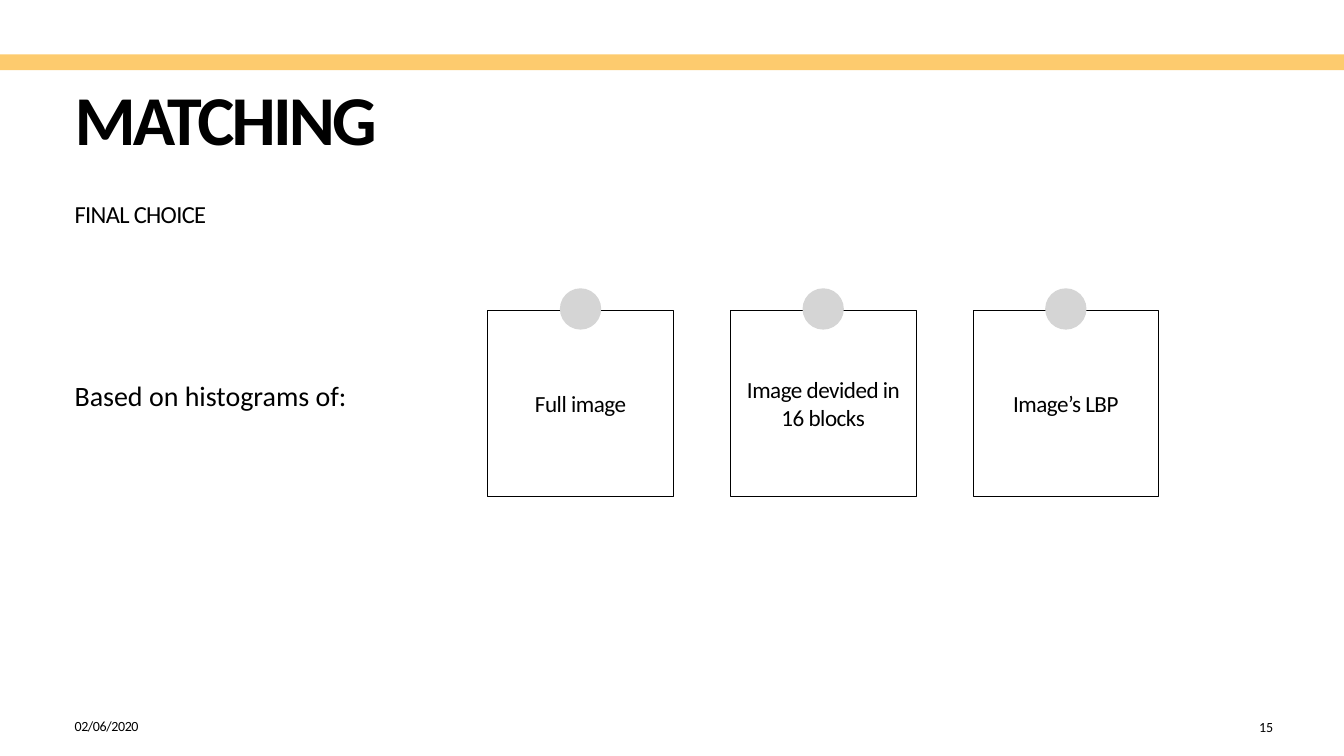
"""Build the slide on the final choice of histogram matching."""
from pptx import Presentation
from pptx.dml.color import RGBColor
from pptx.enum.shapes import MSO_SHAPE
from pptx.enum.text import MSO_ANCHOR, PP_ALIGN
from pptx.util import Inches, Pt

COLORS = {"band": "FDCB6E", "ink": "000000", "dot": "D5D5D5"}
WIDTH, HEIGHT = 26.67, 15
MARGIN = 1.42
CONTENT = 23.92
CARD_LEFT, CARD_TOP, CARD_SIZE, CARD_STEP = 9.68, 6.16, 3.68, 4.815
DOT_SIZE, DOT_TOP = 0.82, 5.72


def add_shape(kind, left, top, width, height, fill=None):
    shape = page.shapes.add_shape(kind, Inches(left), Inches(top), Inches(width), Inches(height))
    shape.shadow.inherit = False
    if fill:
        shape.fill.solid()
        shape.fill.fore_color.rgb = RGBColor.from_string(COLORS[fill])
        shape.line.fill.background()
    else:
        shape.fill.background()
        shape.line.color.rgb = RGBColor.from_string(COLORS["ink"])
        shape.line.width = Pt(1)
    return shape


def write(box, text, size, tracking=0, bold=False, align=PP_ALIGN.LEFT, anchor=MSO_ANCHOR.TOP, wrap=True):
    frame = box.text_frame
    frame.word_wrap = wrap
    frame.vertical_anchor = anchor
    frame.margin_left = frame.margin_right = Inches(0.06)
    frame.margin_top = frame.margin_bottom = Inches(0.06)
    para = frame.paragraphs[0]
    para.alignment = align
    span = para.add_run()
    span.text = text
    span.font.name = "Calibri"
    span.font.size = Pt(size)
    span.font.bold = bold
    span.font.color.rgb = RGBColor.from_string(COLORS["ink"])
    if tracking:
        span.font._element.set("spc", str(round(tracking * 100)))
    return para


deck = Presentation()
deck.slide_width, deck.slide_height = Inches(WIDTH), Inches(HEIGHT)
page = deck.slides.add_slide(deck.slide_layouts[6])

add_shape(MSO_SHAPE.RECTANGLE, 0, 1.08, WIDTH, 0.31, "band")

texts = [
    ("02/06/2020", 14.17, CONTENT, 0.47, 20, -0.6, False, 1),
    ("FINAL CHOICE", 3.88, CONTENT, 0.76, 35, -1, False, 1),
    ("MATCHING", 1.77, CONTENT, 1.94, 100, -4, True, 0.8),
    ("Based on histograms of:", 7.46, 7.13, 0.93, 40, 0, False, 1),
]
for text, top, width, height, size, tracking, bold, spacing in texts:
    box = page.shapes.add_textbox(Inches(MARGIN), Inches(top), Inches(width), Inches(height))
    write(box, text, size, tracking, bold).line_spacing = spacing

number = page.shapes.add_textbox(Inches(24.92), Inches(14.17), Inches(0.41), Inches(0.47))
write(number, "15", 20, align=PP_ALIGN.CENTER, anchor=MSO_ANCHOR.BOTTOM, wrap=False)

for column, label in enumerate(["Full image", "Image devided in 16 blocks", "Image’s LBP"]):
    left = CARD_LEFT + column * CARD_STEP
    card = add_shape(MSO_SHAPE.RECTANGLE, left, CARD_TOP, CARD_SIZE, CARD_SIZE)
    write(card, label, 33, -0.7, align=PP_ALIGN.CENTER, anchor=MSO_ANCHOR.MIDDLE)
    dot_left = left + (CARD_SIZE - DOT_SIZE) / 2
    add_shape(MSO_SHAPE.OVAL, dot_left, DOT_TOP, DOT_SIZE, DOT_SIZE, "dot")

deck.save("out.pptx")
